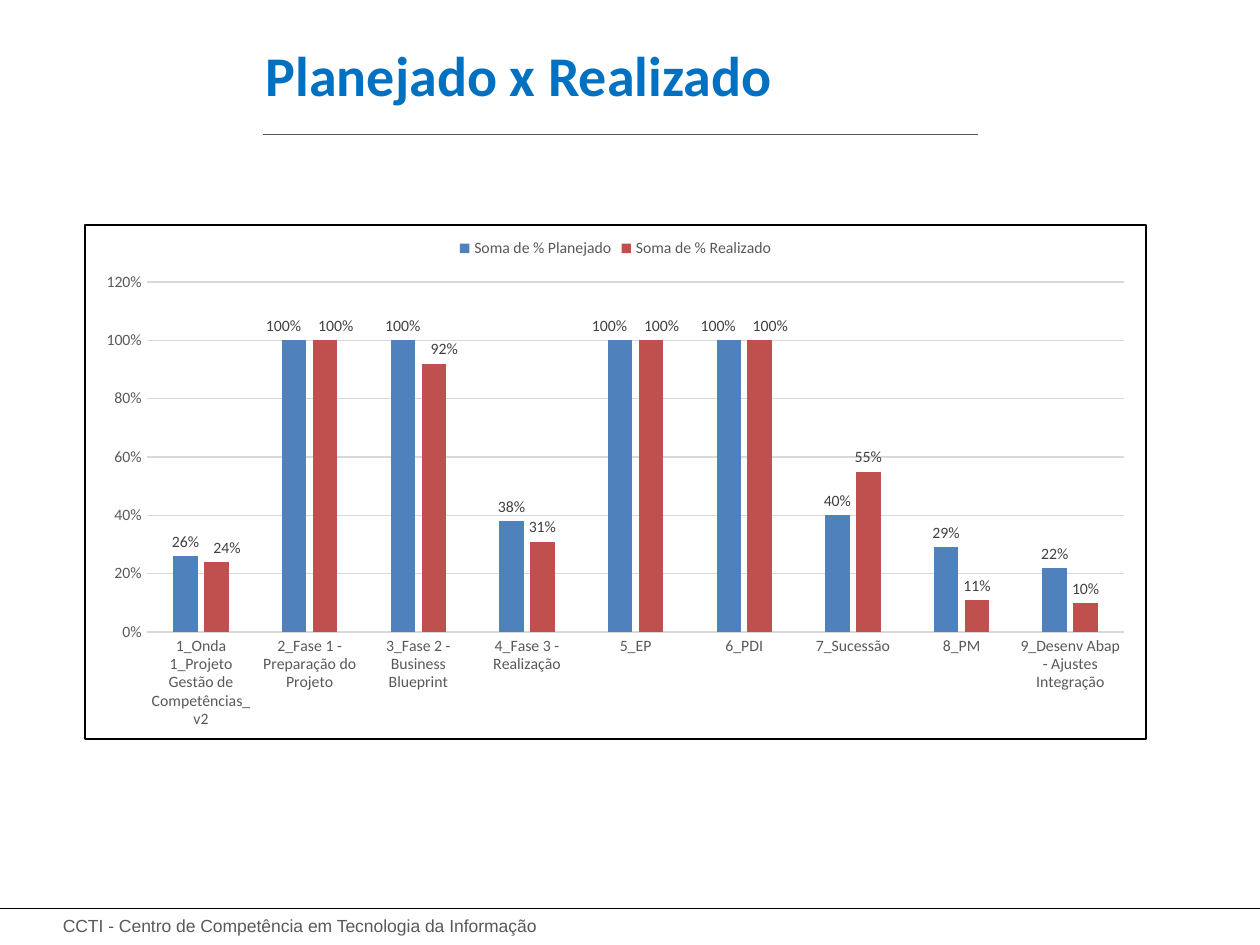
from pptx import Presentation
from pptx.chart.data import CategoryChartData
from pptx.dml.color import RGBColor
from pptx.enum.chart import XL_CHART_TYPE as ChartType, XL_LABEL_POSITION as LabelPosition
from pptx.enum.chart import XL_LEGEND_POSITION as LegendPosition, XL_TICK_MARK as TickMark
from pptx.enum.shapes import MSO_CONNECTOR as Connector
from pptx.enum.text import MSO_ANCHOR as Anchor, PP_ALIGN as Align
from pptx.oxml import parse_xml
from pptx.oxml.ns import nsdecls
from pptx.oxml.xmlchemy import OxmlElement
from pptx.util import Inches, Pt

WIDTH, HEIGHT = 10, 7.5
GRAY, GRID, LABEL = "595959", "D9D9D9", "404040"
CATEGORIES = [
    "1_Onda 1_Projeto Gestão de Competências_v2",
    "2_Fase 1 - Preparação do Projeto",
    "3_Fase 2 - Business Blueprint",
    "4_Fase 3 - Realização",
    "5_EP",
    "6_PDI",
    "7_Sucessão",
    "8_PM",
    "9_Desenv Abap - Ajustes Integração",
]
SERIES = [
    ("Soma de % Planejado", "4F81BD", [0.26, 1, 1, 0.38, 1, 1, 0.4, 0.29, 0.22],
     {1: -0.01, 4: -0.01, 5: -0.01}),
    ("Soma de % Realizado", "C0504D", [0.24, 1, 0.92, 0.31, 1, 1, 0.55, 0.11, 0.1],
     {0: 0.01, 1: 0.01, 2: 0.01, 4: 0.01, 5: 0.01}),
]


def color(value):
    return RGBColor.from_string(value)


def format_font(font, size, fill, name="Calibri", bold=False):
    font.size, font.name, font.bold = Pt(size), name, bold
    font.color.rgb = color(fill)


def format_line(line, fill, width):
    line.color.rgb = color(fill)
    line.width = Pt(width)


def write_text(shape, text, size, fill, **font_format):
    frame = shape.text_frame
    frame.word_wrap = True
    frame.vertical_anchor = Anchor.MIDDLE
    paragraph = frame.paragraphs[0]
    paragraph.alignment = Align.LEFT
    run = paragraph.add_run()
    run.text = text
    format_font(run.font, size, fill, **font_format)


def add_rule(slide, left, right, top, fill, width):
    rule = slide.shapes.add_connector(
        Connector.STRAIGHT, Inches(left), Inches(top), Inches(right), Inches(top))
    format_line(rule.line, fill, width)
    rule.element.spPr.append(OxmlElement("a:effectLst"))


def add_header(slide, left, top, width, height):
    title = slide.shapes.title
    title.left, title.top = Inches(left), Inches(top)
    title.width, title.height = Inches(width), Inches(height)
    write_text(title, "Planejado x Realizado", 32, "0070C0", bold=True)
    add_rule(slide, left + 0.08, left + 5.75, top + height + 0.05, GRAY, 0.5)


def add_footer(slide, left, top, width, height):
    add_rule(slide, 0, WIDTH, top, "000000", 0.75)
    box = slide.shapes.add_textbox(Inches(left), Inches(top), Inches(width), Inches(height))
    write_text(box, "CCTI - Centro de Competência em Tecnologia da Informação",
               10, GRAY, name="Arial")


def format_axes(chart):
    for axis in (chart.category_axis, chart.value_axis):
        axis.major_tick_mark = axis.minor_tick_mark = TickMark.NONE
        format_font(axis.tick_labels.font, 9, GRAY)
    format_line(chart.category_axis.format.line, GRID, 0.75)
    value_axis = chart.value_axis
    value_axis.minimum_scale, value_axis.maximum_scale, value_axis.major_unit = 0, 1.2, 0.2
    value_axis.format.line.fill.background()
    format_line(value_axis.major_gridlines.format.line, GRID, 0.75)
    value_axis.tick_labels.number_format = "0%"
    value_axis.tick_labels.number_format_is_linked = False


def shift_label(chart, series_number, series, point, shift):
    label = series.points[point].data_label
    label.position = LabelPosition.OUTSIDE_END
    format_font(label.font, 9, LABEL)
    index = chart.element.xpath(
        f'(.//c:ser)[{series_number}]//c:dLbl/c:idx[@val="{point}"]')[0]
    index.addnext(parse_xml(
        f'<c:numFmt {nsdecls("c")} formatCode="0%" sourceLinked="0"/>'))
    index.addnext(parse_xml(
        f'<c:layout {nsdecls("c")}><c:manualLayout><c:x val="{shift}"/>'
        '<c:y val="0"/></c:manualLayout></c:layout>'))


def format_series(chart):
    for number, (series, (_, fill, _, shifts)) in enumerate(
            zip(chart.plots[0].series, SERIES), start=1):
        series.format.fill.solid()
        series.format.fill.fore_color.rgb = color(fill)
        series.invert_if_negative = False
        labels = series.data_labels
        labels.show_value = True
        labels.position = LabelPosition.OUTSIDE_END
        labels.number_format, labels.number_format_is_linked = "0%", False
        format_font(labels.font, 9, LABEL)
        for point, shift in shifts.items():
            shift_label(chart, number, series, point, shift)


def add_border(chart, fill, width):
    chart.element.find("{*}chart").addnext(parse_xml(
        f'<c:spPr {nsdecls("c", "a")}><a:noFill/><a:ln w="{Pt(width)}"><a:solidFill>'
        f'<a:srgbClr val="{fill}"/></a:solidFill></a:ln></c:spPr>'))


def add_progress_chart(slide, left, top, width, height):
    data = CategoryChartData(number_format="0%")
    data.categories = CATEGORIES
    for name, _, values, _ in SERIES:
        data.add_series(name, values)
    chart = slide.shapes.add_chart(
        ChartType.COLUMN_CLUSTERED, Inches(left), Inches(top),
        Inches(width), Inches(height), data).chart
    format_font(chart.font, 10, "000000")
    chart.has_title = False
    plot = chart.plots[0]
    plot.gap_width, plot.overlap, plot.vary_by_categories = 219, -27, False
    chart.has_legend = True
    chart.legend.position = LegendPosition.TOP
    chart.legend.include_in_layout = False
    format_font(chart.legend.font, 9, GRAY)
    format_axes(chart)
    format_series(chart)
    add_border(chart, "000000", 1)


def main():
    presentation = Presentation()
    presentation.slide_width, presentation.slide_height = Inches(WIDTH), Inches(HEIGHT)
    slide = presentation.slides.add_slide(presentation.slide_layouts.get_by_name("Title Only"))
    add_header(slide, 2.01, 0.15, 6.17, 0.87)
    add_progress_chart(slide, 0.67, 1.78, 8.43, 4.09)
    add_footer(slide, 0.4, 7.21, 4.92, 0.27)
    presentation.save("out.pptx")


if __name__ == "__main__":
    main()
